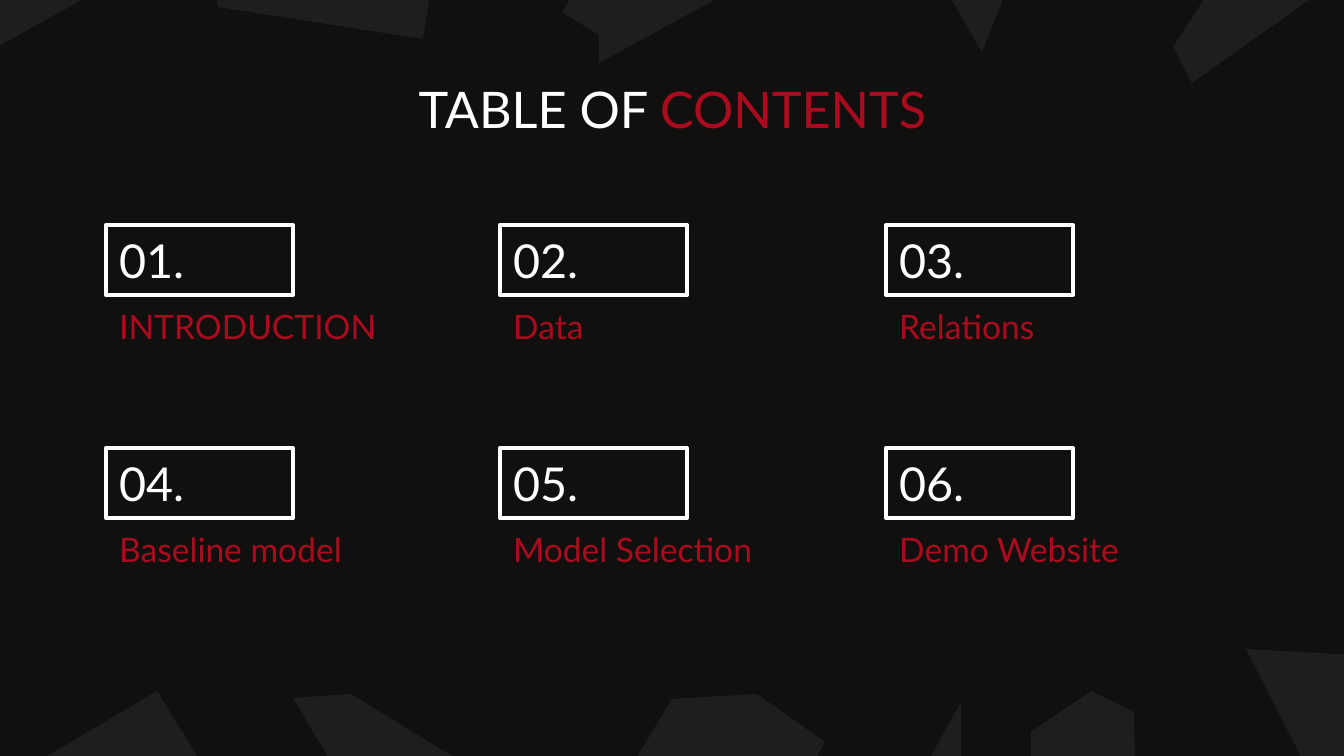
from pptx import Presentation
from pptx.dml.color import RGBColor
from pptx.enum.shapes import MSO_SHAPE
from pptx.enum.text import MSO_ANCHOR, MSO_AUTO_SIZE, PP_ALIGN
from pptx.util import Inches, Pt

RECT = MSO_SHAPE.RECTANGLE
MIDDLE = MSO_ANCHOR.MIDDLE
NO_FIT = MSO_AUTO_SIZE.NONE
LEFT, CENTER = PP_ALIGN.LEFT, PP_ALIGN.CENTER

COLORS = {"back": "12100E", "shard": "201E1D", "red": "AA0B1E", "white": "FFFFFF"}
FONT = "Lato"
TITLE = [("TABLE OF ", "white"), ("CONTENTS", "red")]
TOPICS = ["INTRODUCTION", "Data", "Relations",
          "Baseline model", "Model Selection", "Demo Website"]

# Lengths in px
SCALE = 914400 / 134.4
WIDTH, HEIGHT = 1344, 756
TITLE_BOX = (106, 66, 1133, 85)
COLS = [106, 500, 886]
TOP, ROW_STEP = 225, 223
BOX_W, BOX_H = 187, 70
LABEL_W, LABEL_H = 353, 62
SHARDS = [
    [(1246, 649), (1308, 770), (1292, 806), (1388, 806), (1388, 657)],
    [(1091, 691), (1031, 732), (1031, 890), (1137, 890), (1134, 712)],
    [(961, 702), (874, 859), (961, 859)],
    [(757, 694), (672, 699), (589, 837), (624, 899), (738, 899), (825, 742)],
    [(351, 694), (293, 698), (413, 898), (534, 898), (540, 810)],
    [(157, 691), (-30, 802), (-70, 796), (-70, 890), (280, 890)],
    [(-19, -23), (-27, 30), (-19, 56), (103, -12), (108, -23)],
    [(216, -5), (218, 7), (423, 39), (445, -95)],
    [(632, -106), (562, 12), (599, 35), (599, 63), (758, -24), (759, -106)],
    [(911, -70), (982, 52), (1031, -70)],
    [(1222, -28), (1173, 47), (1192, 83), (1316, -5), (1316, -28)],
]


def px(n):
    return round(n * SCALE)


def color(name):
    return RGBColor.from_string(COLORS[name])


def write(shape, runs, size=18, align=LEFT):
    """Fill a shape with one paragraph of (text, color name) runs."""
    frame = shape.text_frame
    frame.word_wrap = True
    frame.auto_size = NO_FIT
    frame.vertical_anchor = MIDDLE
    frame.margin_left = frame.margin_right = Inches(0.1)
    frame.margin_top = frame.margin_bottom = Inches(0.1)
    para = frame.paragraphs[0]
    para.alignment = align
    for text, name in runs:
        run = para.add_run()
        run.text = text
        run.font.name = FONT
        run.font.size = Pt(size)
        run.font.color.rgb = color(name)


def add_shard(shapes, points):
    pen = shapes.build_freeform(*points[0], scale=SCALE)
    pen.add_line_segments(points[1:], close=True)
    shard = pen.convert_to_shape()
    shard.shadow.inherit = False
    shard.fill.solid()
    shard.fill.fore_color.rgb = color("shard")
    shard.line.fill.background()


def add_topic(shapes, i, topic):
    row, col = divmod(i, len(COLS))
    x, y = COLS[col], TOP + row * ROW_STEP
    box = shapes.add_shape(RECT, px(x), px(y), px(BOX_W), px(BOX_H))
    box.shadow.inherit = False
    box.fill.background()
    box.line.color.rgb = color("white")
    box.line.width = Pt(2.25)
    write(box, [(f"{i + 1:02}.", "white")], size=25)
    label = shapes.add_textbox(px(x), px(y + BOX_H), px(LABEL_W), px(LABEL_H))
    write(label, [(topic, "red")])


def main():
    deck = Presentation()
    deck.slide_width, deck.slide_height = px(WIDTH), px(HEIGHT)
    slide = deck.slides.add_slide(deck.slide_layouts[5])
    back = slide.background.fill
    back.solid()
    back.fore_color.rgb = color("back")
    shapes = slide.shapes
    for points in SHARDS:
        add_shard(shapes, points)
    for i, topic in enumerate(TOPICS):
        add_topic(shapes, i, topic)
    title = shapes.title
    title.left, title.top, title.width, title.height = map(px, TITLE_BOX)
    write(title, TITLE, size=27, align=CENTER)
    deck.save("out.pptx")


if __name__ == "__main__":
    main()
